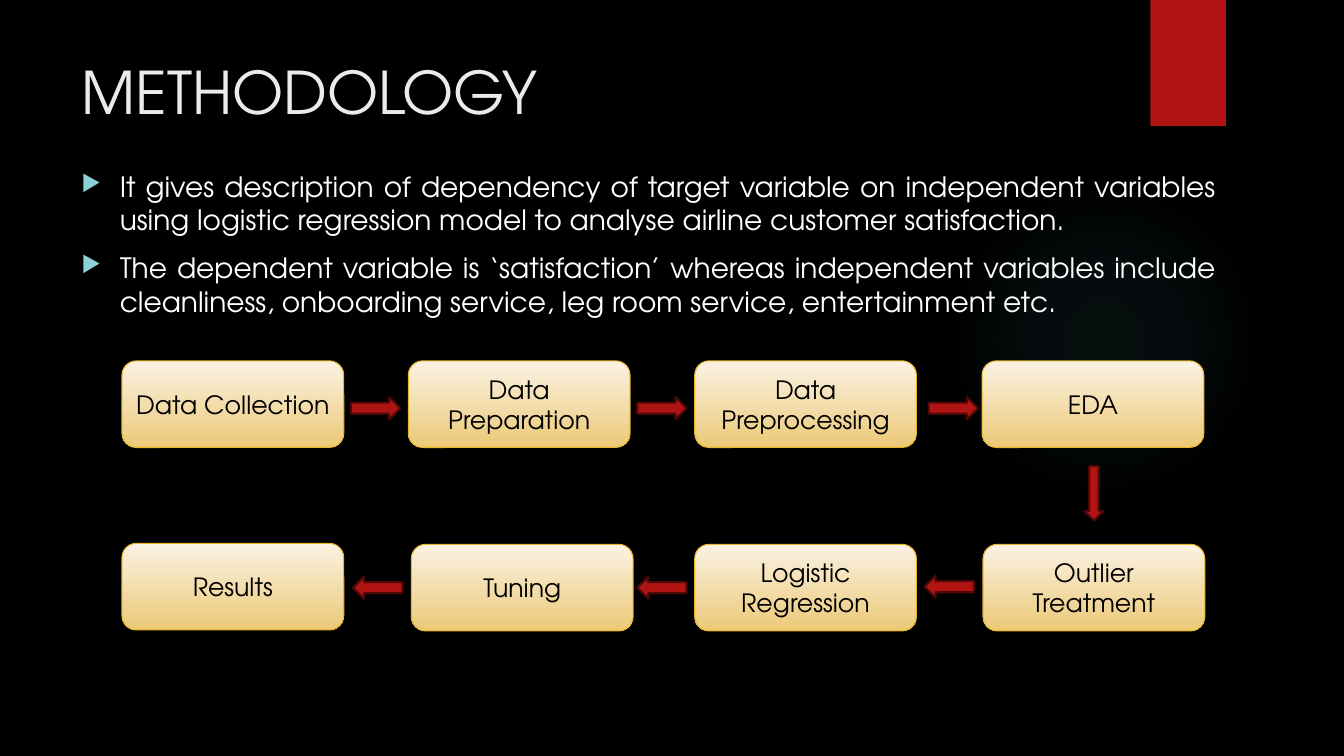
from dataclasses import dataclass

from lxml import etree
from pptx import Presentation
from pptx.dml.color import RGBColor
from pptx.enum.shapes import MSO_SHAPE
from pptx.enum.text import MSO_ANCHOR, PP_ALIGN
from pptx.oxml import parse_xml
from pptx.oxml.ns import nsdecls, qn
from pptx.util import Inches, Pt

RECTANGLE = MSO_SHAPE.RECTANGLE
ROUNDED = MSO_SHAPE.ROUNDED_RECTANGLE
OVAL = MSO_SHAPE.OVAL
ARROW = MSO_SHAPE.RIGHT_ARROW
TOP, MIDDLE = MSO_ANCHOR.TOP, MSO_ANCHOR.MIDDLE
LEFT, CENTER, JUSTIFY = PP_ALIGN.LEFT, PP_ALIGN.CENTER, PP_ALIGN.JUSTIFY
TITLE_ONLY = 5


@dataclass(frozen=True)
class Theme:
    font: str = "TeX Gyre Adventor"
    background: str = "000000"
    title: str = "EBEBEB"
    body: str = "FFFFFF"
    bullet: str = "8AD0D6"
    glow: str = "50B9C1"
    red: str = "B01513"
    dark_red: str = "4D0908"
    step_top: str = "FAF2E3"
    step_bottom: str = "ECC977"
    step_line: str = "E6B729"
    step_text: str = "000000"
    title_size: int = 42
    body_size: int = 20
    step_size: int = 18


POINTS = [
    "It gives description of dependency of target variable on independent variables "
    "using logistic regression model to analyse airline customer satisfaction.",
    "The dependent variable is ‘satisfaction’ whereas independent variables include "
    "cleanliness, onboarding service, leg room service, entertainment etc.",
]
STEP_SIZE = (2.2, 0.86)
STEPS = [
    ("Data Collection", 1.21, 3.58),
    ("Data Preparation", 4.05, 3.58),
    ("Data Preprocessing", 6.89, 3.58),
    ("EDA", 9.74, 3.58),
    ("Outlier Treatment", 9.75, 5.4),
    ("Logistic Regression", 6.89, 5.4),
    ("Tuning", 4.08, 5.4),
    ("Results", 1.21, 5.39),
]
FLOW_SIZE = (0.49, 0.22)
FLOW_RIGHT = [(3.48, 3.94), (6.32, 3.94), (9.21, 3.94)]
FLOW_LEFT = [(9.17, 5.71), (6.32, 5.72), (3.5, 5.72)]
FLOW_DOWN = (10.58, 4.8, 0.54, 0.19)


def rgb(value):
    return RGBColor.from_string(value)


class MethodologySlide:
    def __init__(self, deck, theme):
        self.theme = theme
        self.slide = deck.slides.add_slide(deck.slide_layouts[TITLE_ONLY])
        fill = self.slide.background.fill
        fill.solid()
        fill.fore_color.rgb = rgb(theme.background)

    def add_text(self, paragraph, text, size, color, align):
        paragraph.alignment = align
        run = paragraph.add_run()
        run.text = text
        run.font.name = self.theme.font
        run.font.size = Pt(size)
        run.font.color.rgb = rgb(color)

    def shape(self, kind, box, fill=None, line=None, line_width=0.75):
        shape = self.slide.shapes.add_shape(kind, *map(Inches, box))
        shape.shadow.inherit = False
        if fill:
            shape.fill.solid()
            shape.fill.fore_color.rgb = rgb(fill)
        if line:
            shape.line.color.rgb = rgb(line)
            shape.line.width = Pt(line_width)
        else:
            shape.line.fill.background()
        return shape

    def glow(self, box):
        """Draw a faint radial light that fades out towards its edge."""
        halo = self.shape(OVAL, box)
        halo.fill.gradient()
        stops = "".join(
            f'<a:gs pos="{position}000"><a:srgbClr val="{self.theme.glow}">'
            f'<a:alpha val="{opacity}000"/></a:srgbClr></a:gs>'
            for position, opacity in [(0, 7), (36, 6), (69, 0)]
        )
        radial = parse_xml(
            f'<a:gradFill {nsdecls("a")} rotWithShape="1"><a:gsLst>{stops}</a:gsLst>'
            '<a:path path="circle"><a:fillToRect l="50000" t="50000" r="50000" b="50000"/>'
            "</a:path></a:gradFill>"
        )
        properties = halo.element.spPr
        properties.replace(properties.find(qn("a:gradFill")), radial)

    def title(self, text, box):
        title = self.slide.shapes.title
        title.left, title.top, title.width, title.height = map(Inches, box)
        frame = title.text_frame
        frame.word_wrap = True
        frame.vertical_anchor = TOP
        self.add_text(frame.paragraphs[0], text, self.theme.title_size, self.theme.title, LEFT)

    def bullets(self, points, box):
        frame = self.slide.shapes.add_textbox(*map(Inches, box)).text_frame
        frame.word_wrap = True
        for index, point in enumerate(points):
            paragraph = frame.add_paragraph() if index else frame.paragraphs[0]
            self.add_text(paragraph, point, self.theme.body_size, self.theme.body, JUSTIFY)
            paragraph.space_before = Pt(10)
            properties = paragraph._p.get_or_add_pPr()
            properties.set("marL", str(Inches(0.38)))
            properties.set("indent", str(Inches(-0.38)))
            color = etree.SubElement(properties, qn("a:buClr"))
            etree.SubElement(color, qn("a:srgbClr"), val=self.theme.bullet)
            etree.SubElement(properties, qn("a:buSzPct"), val="80000")
            etree.SubElement(properties, qn("a:buChar"), char="▶")

    def step(self, label, left, top):
        step = self.shape(ROUNDED, (left, top, *STEP_SIZE), line=self.theme.step_line)
        step.fill.gradient()
        step.fill.gradient_angle = 270
        colors = (self.theme.step_top, self.theme.step_bottom)
        for position, (stop, color) in enumerate(zip(step.fill.gradient_stops, colors)):
            stop.color.rgb = rgb(color)
            stop.position = position
        frame = step.text_frame
        frame.word_wrap = True
        frame.vertical_anchor = MIDDLE
        self.add_text(frame.paragraphs[0], label, self.theme.step_size, self.theme.step_text, CENTER)

    def flow(self, box, rotation=0):
        arrow = self.shape(ARROW, box, self.theme.red, self.theme.dark_red, 1.5)
        arrow.rotation = rotation


def main():
    deck = Presentation()
    deck.slide_width, deck.slide_height = Inches(13.33), Inches(7.5)
    theme = Theme()
    page = MethodologySlide(deck, theme)
    page.glow((9.41, 1.83, 3.08, 3.08))
    page.shape(RECTANGLE, (11.41, 0, 0.75, 1.25), theme.red)
    page.title("METHODOLOGY", (0.71, 0.5, 10.29, 0.9))
    page.bullets(POINTS, (0.71, 1.63, 11.45, 1.62))
    for step in STEPS:
        page.step(*step)
    for rotation, places in ((0, FLOW_RIGHT), (180, FLOW_LEFT)):
        for place in places:
            page.flow((*place, *FLOW_SIZE), rotation)
    page.flow(FLOW_DOWN, 90)
    deck.save("out.pptx")


if __name__ == "__main__":
    main()
